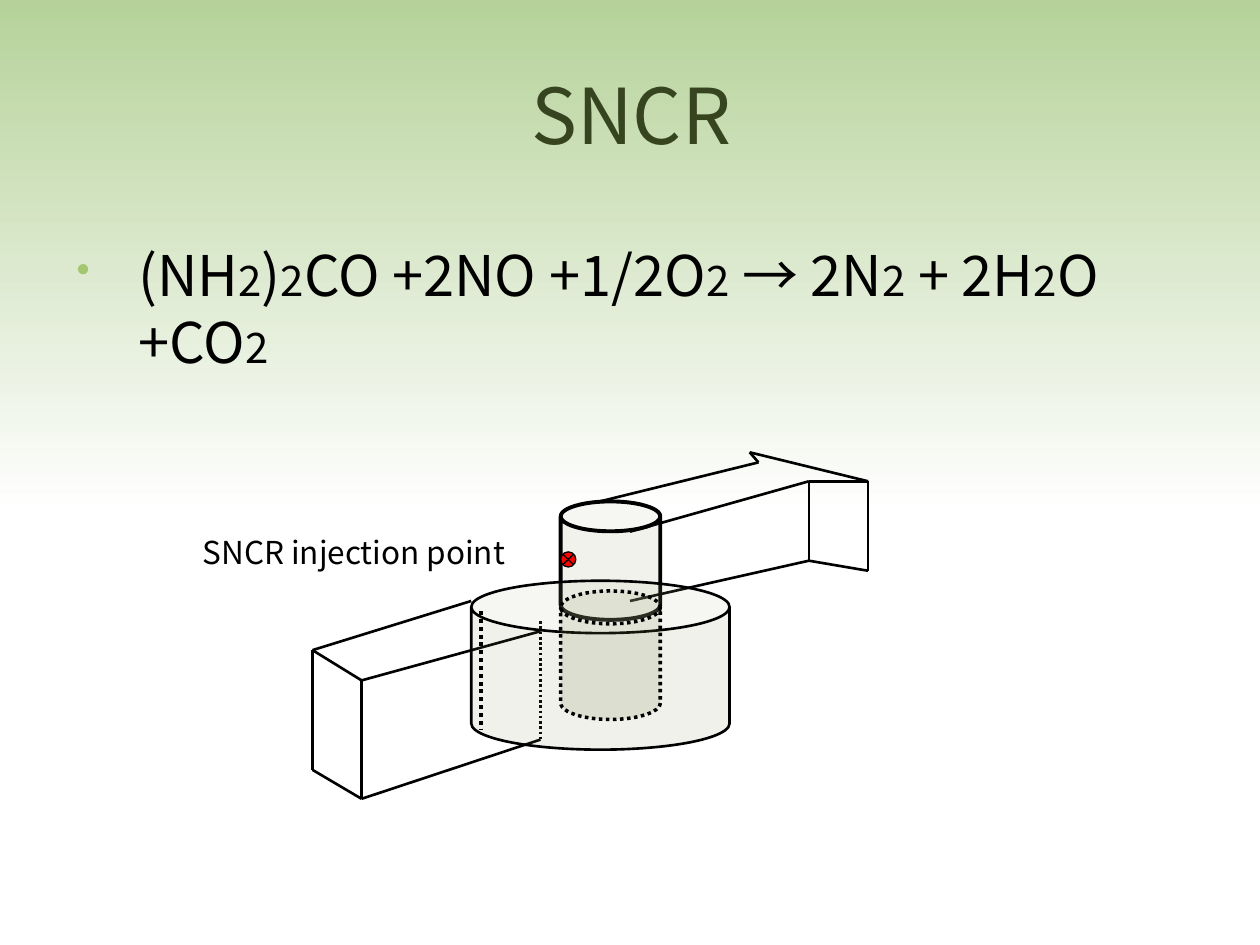
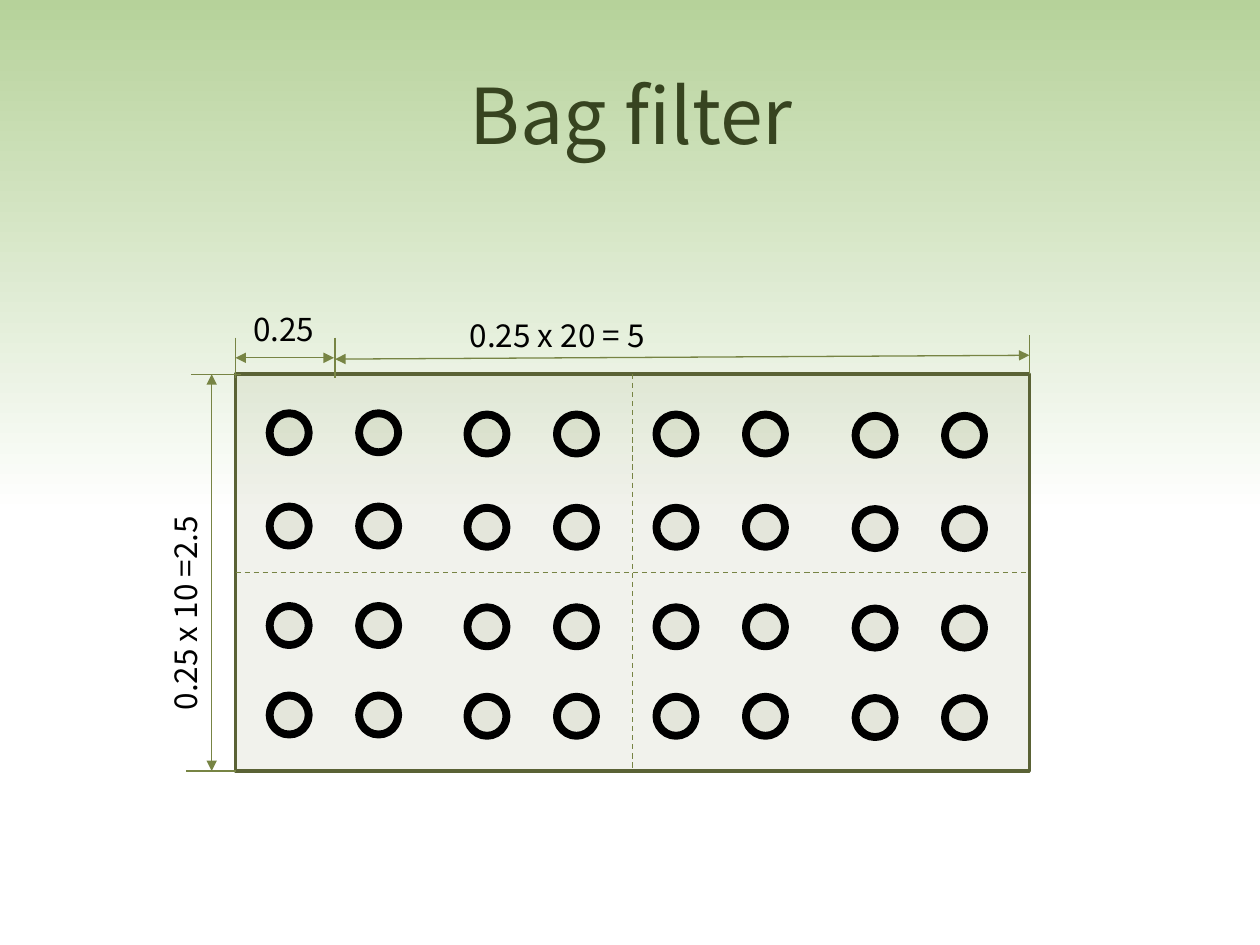
import dataclasses

import lxml.etree
import pptx
import pptx.dml.color
import pptx.enum.dml
import pptx.enum.shapes
import pptx.enum.text
import pptx.oxml.ns
import pptx.util

Inches = pptx.util.Inches
Pt = pptx.util.Pt
KIND = pptx.enum.shapes.MSO_SHAPE
DASH = pptx.enum.dml.MSO_LINE
ALIGN = pptx.enum.text.PP_ALIGN
FONT = "Noto Sans CJK KR"
BLACK, OLIVE, MOSS, GREEN = "000000", "798547", "778444", "B6D29A"
Point = tuple[float, float]


@dataclasses.dataclass(frozen=True)
class Pen:
    color: str = BLACK
    width: float = 1.5
    dash: object = None
    arrows: bool = False


@dataclasses.dataclass(frozen=True)
class Form:
    kind: object
    box: tuple[float, float, float, float]
    fill: str
    pen: Pen
    alpha: int = 100
    adjust: float | None = None


@dataclasses.dataclass(frozen=True)
class Label:
    text: str
    box: tuple[float, float, float, float]
    turn: float = 0


def shade(color: str) -> pptx.dml.color.RGBColor:
    return pptx.dml.color.RGBColor.from_string(color)


def apply(target, values: dict) -> None:
    for name, value in values.items():
        setattr(target, name, value)


def add_tag(parent, name: str, **values: str):
    tag = lxml.etree.SubElement(parent, pptx.oxml.ns.qn(name))
    for key, value in values.items():
        tag.set(key, value)
    return tag


def set_font(font, size: float, color: str = BLACK) -> None:
    apply(font, {"name": FONT, "size": Pt(size)})
    font.color.rgb = shade(color)


def set_line(line, pen: Pen) -> None:
    line.color.rgb = shade(pen.color)
    apply(line, {"width": Pt(pen.width), "dash_style": pen.dash})


def draw_form(slide, form: Form):
    shape = slide.shapes.add_shape(form.kind, *map(Inches, form.box))
    shape.shadow.inherit = False
    shape.fill.solid()
    shape.fill.fore_color.rgb = shade(form.fill)
    set_line(shape.line, form.pen)
    if form.alpha < 100:
        color = shape.element.xpath("./p:spPr/a:solidFill/a:srgbClr")[0]
        add_tag(color, "a:alpha", val=str(form.alpha * 1000))
    if form.adjust is not None:
        shape.adjustments[0] = form.adjust
    return shape


def draw_line(slide, start: Point, end: Point, pen: Pen):
    line = slide.shapes.add_connector(
        pptx.enum.shapes.MSO_CONNECTOR.STRAIGHT, *map(Inches, (*start, *end))
    )
    set_line(line.line, pen)
    props = line.element.spPr
    if pen.arrows:
        stroke = props.find(pptx.oxml.ns.qn("a:ln"))
        for tip in ("a:headEnd", "a:tailEnd"):
            add_tag(stroke, tip, type="triangle")
    add_tag(props, "a:effectLst")
    return line


def draw_trace(slide, points: list[Point], pen: Pen) -> None:
    for start, end in zip(points, points[1:]):
        draw_line(slide, start, end, pen)


def draw_label(slide, label: Label) -> None:
    box = slide.shapes.add_textbox(*map(Inches, label.box))
    box.rotation = label.turn
    apply(box.text_frame, {
        "word_wrap": False,
        "auto_size": pptx.enum.text.MSO_AUTO_SIZE.SHAPE_TO_FIT_TEXT,
    })
    run = box.text_frame.paragraphs[0].add_run()
    run.text = label.text
    set_font(run.font, 18)


def add_slide(deck, name: str):
    slide = deck.slides.add_slide(deck.slide_layouts[5])
    title = slide.shapes.title
    apply(title, {"left": Inches(0.51), "top": Inches(0.28),
                  "width": Inches(9), "height": Inches(1.25)})
    title.text_frame.text = name
    title.text_frame.vertical_anchor = pptx.enum.text.MSO_ANCHOR.MIDDLE
    line = title.text_frame.paragraphs[0]
    line.alignment = ALIGN.CENTER
    set_font(line.runs[0].font, 44, "374420")
    return slide


def share_band(deck, slide) -> None:
    band = slide.shapes.add_shape(KIND.RECTANGLE, 0, 0, Inches(10), Inches(4.08))
    band.shadow.inherit = False
    band.line.fill.background()
    band.fill.gradient()
    band.fill.gradient_angle = 270
    for stop, color in zip(band.fill.gradient_stops, (GREEN, "FFFFFF")):
        stop.color.rgb = shade(color)
    band.element.xpath(".//p:cNvPr")[0].set("id", "20")
    deck.slide_master.shapes.element.insert(2, band.element)


def draw_formula(slide) -> None:
    box = slide.shapes.add_textbox(*map(Inches, (0.51, 1.86, 9, 4.95)))
    box.text_frame.word_wrap = True
    line = box.text_frame.paragraphs[0]
    props = line._p.get_or_add_pPr()
    indent = Inches(0.49)
    props.set("marL", str(indent))
    props.set("indent", str(-indent))
    add_tag(add_tag(props, "a:buClr"), "a:srgbClr", val="A3C670")
    add_tag(props, "a:buSzPct", val="70000")
    add_tag(props, "a:buChar", char="•")
    parts = ("(NH", ")", "CO +2NO +1/2O", " → 2N", " + 2H", "O +CO")
    for part in parts:
        for text, size in ((part, 32), ("2", 24)):
            run = line.add_run()
            run.text = text
            set_font(run.font, size)


def build_sncr(slide) -> None:
    draw_formula(slide)
    pen = Pen()
    dots = DASH.ROUND_DOT
    draw_line(slide, (4.29, 4.93), (4.29, 5.87), Pen(dash=dots))
    ducts = [
        [(3.74, 4.77), (2.48, 5.16)],
        [(4.29, 5.01), (2.87, 5.4)],
        [(4.29, 5.87), (2.87, 6.34)],
        [(4.76, 3.98), (6.02, 3.67), (5.95, 3.59), (6.89, 3.82),
         (6.89, 4.53), (6.42, 4.45), (5, 4.77)],
        [(5, 4.22), (6.42, 3.82), (6.89, 3.82)],
        [(6.42, 3.82), (6.42, 4.45)],
    ]
    for duct in ducts:
        draw_trace(slide, duct, pen)
    draw_form(slide, Form(KIND.CAN, (4.45, 3.98, 0.79, 0.94), OLIVE,
                          Pen(width=2.25), 10, 0.3))
    draw_form(slide, Form(KIND.CAN, (3.74, 4.61, 2.05, 1.34), OLIVE,
                          pen, 11, 0.31))
    mouth = [(2.48, 5.16), (2.87, 5.4), (2.87, 6.34), (2.48, 6.11)]
    draw_trace(slide, mouth + mouth[:1], pen)
    draw_line(slide, (3.82, 4.85), (3.82, 5.79), Pen(width=2.25, dash=dots))
    draw_form(slide, Form(KIND.CAN, (4.45, 4.69, 0.79, 1.02), OLIVE,
                          Pen(width=2, dash=dots), 16, 0.33))
    draw_form(slide, Form(KIND.FLOWCHART_SUMMING_JUNCTION,
                          (4.45, 4.38, 0.12, 0.12), "FF0000", Pen(width=0.75)))
    draw_label(slide, Label("SNCR injection point", (1.51, 4.18, 2.73, 0.4)))


def build_filter(slide) -> None:
    left, top, width, height = 1.87, 2.97, 6.3, 3.15
    right, base = left + width, top + height
    frame = draw_form(slide, Form(KIND.RECTANGLE, (left, top, width, height),
                                  OLIVE, Pen("5A6235", 2), 10))
    ring, pitch = 0.31, 0.71
    pairs = ((2.14, 0), (3.71, 0.01), (5.21, 0.01), (6.79, 0.02))
    for start, drop in pairs:
        for side in (start, start + pitch):
            for row in (3.28, 4.02, 4.81, 5.52):
                draw_form(slide, Form(KIND.OVAL, (side, row + drop, ring, ring),
                                      OLIVE, Pen(width=4.5), 10))

    thin = Pen(MOSS, 0.75)
    ticks = (
        ((left, 2.68), (left, 3)),
        ((2.66, 2.68), (2.66, 3)),
        ((right, 2.66), (right, top)),
        ((1.52, top), (1.91, top)),
        ((1.48, base), (left, base)),
    )
    spans = (
        ((left, 2.84), (2.65, 2.84)),
        ((2.66, 2.85), (right, 2.82)),
        ((1.68, top), (1.68, base)),
    )
    for lines, pen in ((ticks, thin),
                       (spans, dataclasses.replace(thin, arrows=True))):
        for start, end in lines:
            draw_line(slide, start, end, pen)

    labels = (
        Label("0.25", (1.91, 2.41, 0.72, 0.4)),
        Label("0.25 x 20 = 5", (3.63, 2.46, 1.78, 0.4)),
        Label("0.25 x 10 =2.5", (0.5, 4.57, 1.93, 0.4), 270),
    )
    for label in labels:
        draw_label(slide, label)

    middle, centre = top + height / 2, left + width / 2
    halves = (
        ((left, middle), (right, middle), 1, 3),
        ((centre, top), (centre, base), 0, 2),
    )
    for start, end, first, last in halves:
        line = draw_line(slide, start, end, Pen(MOSS, 0.75, DASH.DASH))
        line.begin_connect(frame, first)
        line.end_connect(frame, last)


def main() -> None:
    deck = pptx.Presentation()
    apply(deck, {"slide_width": Inches(10), "slide_height": Inches(7.5)})
    sncr = add_slide(deck, "SNCR")
    share_band(deck, sncr)
    build_sncr(sncr)
    build_filter(add_slide(deck, "Bag filter"))
    deck.save("out.pptx")


if __name__ == "__main__":
    main()
